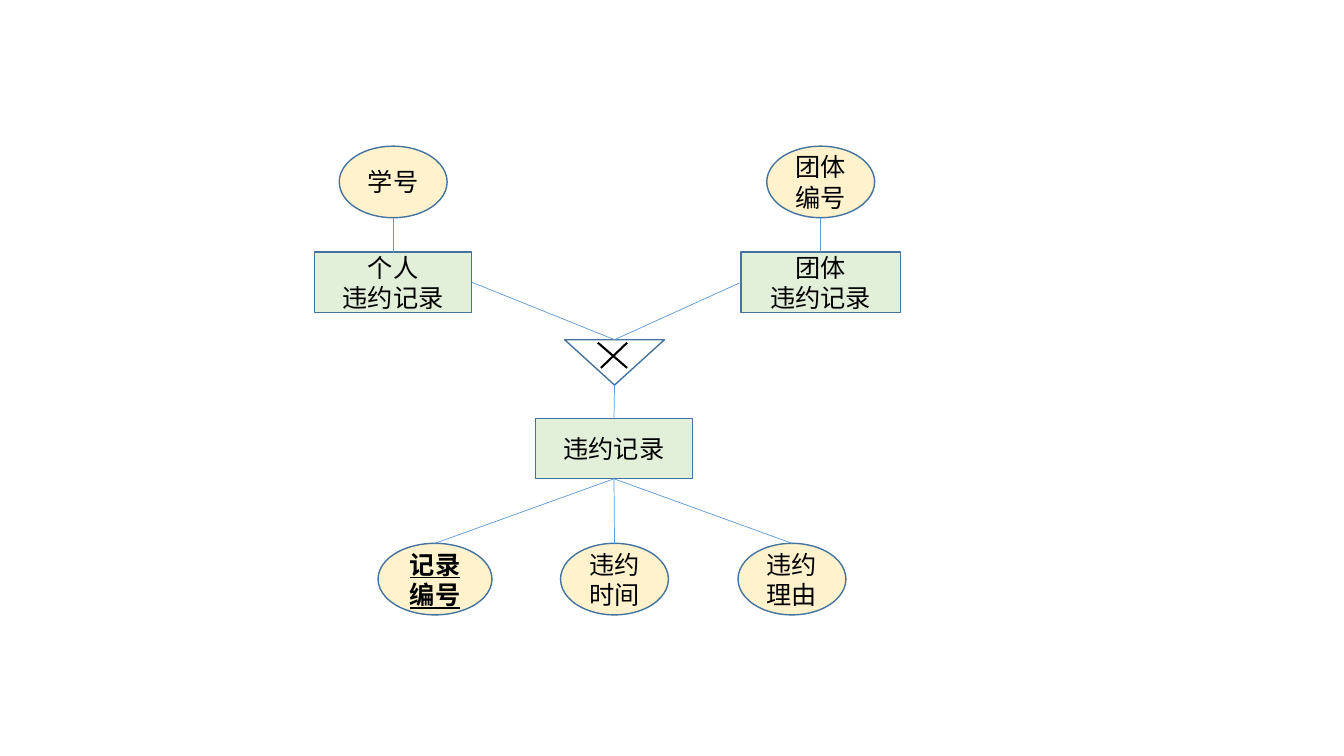
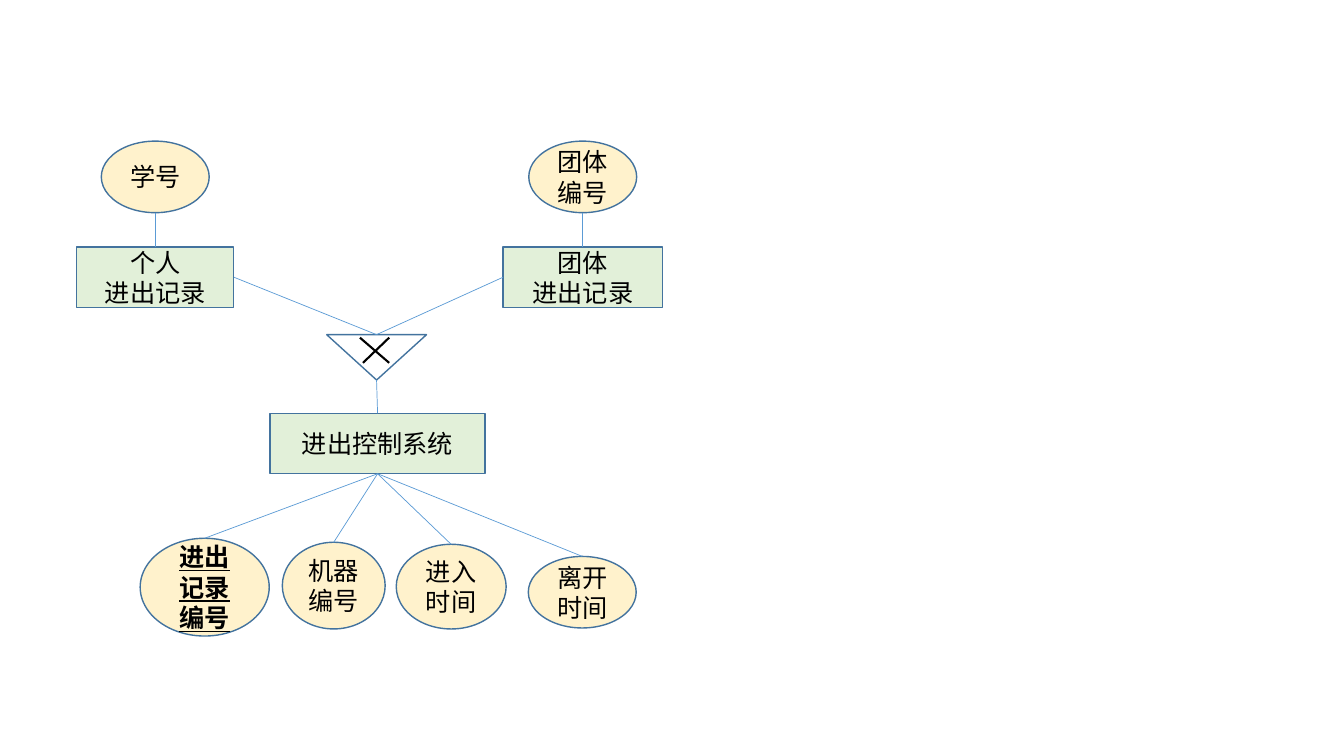
from lxml import etree
from pptx import Presentation
from pptx.dml.color import RGBColor
from pptx.enum.shapes import MSO_CONNECTOR, MSO_SHAPE
from pptx.enum.text import MSO_ANCHOR, PP_ALIGN
from pptx.oxml.ns import qn
from pptx.util import Inches, Pt

RECTANGLE, OVAL, MERGE = MSO_SHAPE.RECTANGLE, MSO_SHAPE.OVAL, MSO_SHAPE.FLOWCHART_MERGE
STRAIGHT = MSO_CONNECTOR.STRAIGHT
CENTER, MIDDLE = PP_ALIGN.CENTER, MSO_ANCHOR.MIDDLE
TOP, LEFT, BOTTOM, RIGHT = range(4)

FONT = "Calibri"
GREEN, CREAM, OUTLINE, LINK, BLACK = "E2F0D9", "FFF2CC", "43739E", "5B9BD5", "000000"
BOX_HEIGHT = 0.6
OVAL_WIDTH, OVAL_HEIGHT = 1.07, 0.71

# Places of subtypes are measured from the diagram's origin.
SUBTYPES = [
    {"left": 0, "width": 1.56, "name": "个人", "key": "学号", "side": RIGHT},
    {"left": 4.23, "width": 1.58, "name": "团体", "key": "团体编号", "side": LEFT},
]

# Attributes: text, left, top, width, height, is primary key
DIAGRAMS = [
    {
        "origin": (3.12, 1.45),
        "record": "违约记录",
        "entity": ("违约记录", 5.31, 1.56),
        "attributes": [
            ("记录编号", 3.75, 5.39, 1.13, OVAL_HEIGHT, True),
            ("违约时间", 5.56, 5.39, OVAL_WIDTH, OVAL_HEIGHT, False),
            ("违约理由", 7.32, 5.39, OVAL_WIDTH, OVAL_HEIGHT, False),
        ],
    },
    {
        "origin": (0.76, 1.4),
        "record": "进出记录",
        "entity": ("进出控制系统", 2.68, 2.13),
        "attributes": [
            ("进出记录编号", 1.39, 5.34, 1.28, 0.97, True),
            ("机器编号", 2.8, 5.38, 1.02, 0.86, False),
            ("进入时间", 3.93, 5.4, 1.09, 0.84, False),
            ("离开时间", 5.24, 5.52, OVAL_WIDTH, OVAL_HEIGHT, False),
        ],
    },
]


def color(hex_string):
    return RGBColor.from_string(hex_string)


def add_node(slide, kind, place, fill=None, lines=(), is_key=False):
    """Add an outlined shape with one centred paragraph per line of text."""
    node = slide.shapes.add_shape(kind, *map(Inches, place))
    node.shadow.inherit = False
    if fill:
        node.fill.solid()
        node.fill.fore_color.rgb = color(fill)
    else:
        node.fill.background()
    node.line.color.rgb = color(OUTLINE)
    node.line.width = Pt(1)
    frame = node.text_frame
    frame.word_wrap = True
    frame.vertical_anchor = MIDDLE
    for index, text in enumerate(lines):
        para = frame.add_paragraph() if index else frame.paragraphs[0]
        para.alignment = CENTER
        span = para.add_run()
        span.text = text
        span.font.name = FONT
        span.font.size = Pt(18)
        span.font.color.rgb = color(BLACK)
        if is_key:
            span.font.bold = span.font.underline = True
    return node


def add_line(slide, points=(0, 0, 0, 0), line_color=LINK, width=0.5):
    line = slide.shapes.add_connector(STRAIGHT, *map(Inches, points))
    line.line.color.rgb = color(line_color)
    line.line.width = Pt(width)
    etree.SubElement(line._element.spPr, qn("a:effectLst"))
    return line


def join(slide, start, start_side, end, end_side):
    line = add_line(slide)
    line.begin_connect(start, start_side)
    line.end_connect(end, end_side)


def add_exclusive_merge(slide, left, top):
    """Add the merge triangle with its cross."""
    merge = add_node(slide, MERGE, (left, top, 0.99, 0.45))
    high, low, right = top + 0.03, top + 0.28, left + 0.62
    add_line(slide, (left + 0.33, high, right, low), BLACK, 1.5)
    add_line(slide, (left + 0.36, low, right, high), BLACK, 1.5)
    return merge


def add_subtype(slide, subtype, record, origin_left, top, merge):
    left, width = origin_left + subtype["left"], subtype["width"]
    box_top = top + 1.05
    box = add_node(slide, RECTANGLE, (left, box_top, width, BOX_HEIGHT),
                   GREEN, [subtype["name"], record])
    center = left + width / 2
    add_node(slide, OVAL, (center - OVAL_WIDTH / 2, top, OVAL_WIDTH, OVAL_HEIGHT),
             CREAM, [subtype["key"]])
    add_line(slide, (center, top + OVAL_HEIGHT, center, box_top))
    join(slide, box, subtype["side"], merge, TOP)


def add_diagram(slide, diagram):
    left, top = diagram["origin"]
    merge = add_exclusive_merge(slide, left + 2.48, top + 1.92)
    for subtype in SUBTYPES:
        add_subtype(slide, subtype, diagram["record"], left, top, merge)

    name, entity_left, width = diagram["entity"]
    entity = add_node(slide, RECTANGLE, (entity_left, top + 2.7, width, BOX_HEIGHT),
                      GREEN, [name])
    join(slide, entity, TOP, merge, BOTTOM)
    for text, *place, is_key in diagram["attributes"]:
        attribute = add_node(slide, OVAL, place, CREAM, [text], is_key)
        join(slide, attribute, TOP, entity, BOTTOM)


def main():
    deck = Presentation()
    deck.slide_width, deck.slide_height = Inches(13.33), Inches(7.5)
    blank = deck.slide_layouts[6]
    for diagram in DIAGRAMS:
        add_diagram(deck.slides.add_slide(blank), diagram)
    deck.save("out.pptx")


if __name__ == "__main__":
    main()
